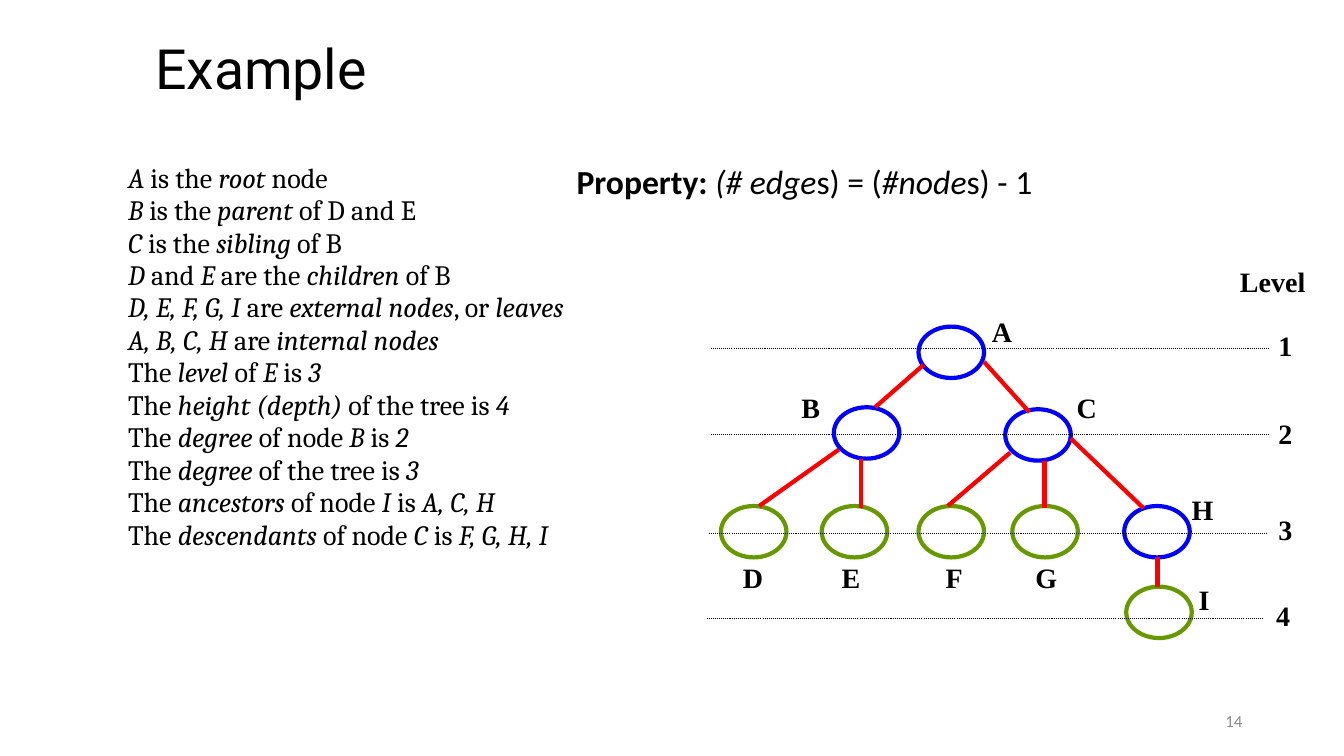
"""Build a slide that explains tree terms beside a drawn tree."""
from pptx import Presentation
from pptx.dml.color import RGBColor
from pptx.enum.dml import MSO_LINE
from pptx.enum.shapes import MSO_CONNECTOR, MSO_SHAPE
from pptx.enum.text import MSO_ANCHOR, PP_ALIGN
from pptx.util import Inches, Pt
from lxml import etree

OVAL = MSO_SHAPE.OVAL
LINE = MSO_CONNECTOR.STRAIGHT
DOTS = MSO_LINE.ROUND_DOT
MIDDLE = MSO_ANCHOR.MIDDLE
RIGHT = PP_ALIGN.RIGHT
BLACK, BLUE, GREEN, RED, GREY = "000000", "0000FF", "669900", "FF0000", "8C8C8C"
SERIF = "Times New Roman"
NS = "http://schemas.openxmlformats.org/drawingml/2006/main"

deck = Presentation()
deck.slide_width = Inches(13.33)
deck.slide_height = Inches(7.5)
slide = deck.slides.add_slide(deck.slide_layouts[6])
shapes = slide.shapes


def add_box(left, top, width, height, wrap=False):
    box = shapes.add_textbox(Inches(left), Inches(top), Inches(width), Inches(height))
    box.text_frame.word_wrap = wrap
    return box.text_frame


def add_run(para, text, size, face, bold=False, italic=False, color=BLACK):
    run = para.add_run()
    run.text = text
    font = run.font
    font.size, font.name = Pt(size), face
    font.bold, font.italic = bold, italic
    font.color.rgb = RGBColor.from_string(color)


title = add_box(1.44, 0.33, 11.56, 0.75, True)
title.vertical_anchor = MIDDLE
title.paragraphs[0].line_spacing = 0.9
add_run(title.paragraphs[0], "Example", 39.6, "Roboto")

# Asterisks switch italics on and off.
facts = [
    "*A *is the *root *node",
    "*B *is the *parent *of D and E",
    "*C *is the *sibling *of B",
    "*D *and *E *are the *children *of B",
    "*D, E, F, G, I* are *external nodes*, or *leaves",
    "*A, B, C, H *are *internal nodes",
    "The *level* of *E *is *3",
    "The *height (depth) *of the tree is *4",
    "The *degree *of node *B *is *2",
    "The *degree *of the tree is *3",
    "The *ancestors *of node *I *is* A, C, H",
    "The *descendants *of node *C *is* F, G, H, I",
]
body = add_box(0.67, 1.15, 11.49, 4.49, True)
body.margin_left = Inches(0.6)
body.margin_top = Inches(0.45)
for row, fact in enumerate(facts):
    para = body.add_paragraph() if row else body.paragraphs[0]
    para.line_spacing = Pt(23.2)
    for part, text in enumerate(fact.split("*")):
        if text:
            add_run(para, text, 20, "Cambria", italic=part % 2 == 1)

nodes = [
    (9.11, 3.24, BLUE), (8.27, 4.04, BLUE), (9.97, 4.06, BLUE),
    (7.15, 5.02, GREEN), (8.15, 5.02, GREEN), (9.11, 5.02, GREEN),
    (10.04, 5.02, GREEN), (11.15, 5.02, BLUE), (11.17, 5.82, GREEN),
]
for left, top, color in nodes:
    node = shapes.add_shape(OVAL, Inches(left), Inches(top), Inches(0.65), Inches(0.51))
    node.shadow.inherit = False
    node.fill.background()
    node.line.color.rgb = RGBColor.from_string(color)
    node.line.width = Pt(3)

edges = [
    (9.16, 3.62, 8.68, 4.04), (9.76, 3.59, 10.21, 4.09),
    (8.32, 4.46, 7.53, 5.02), (8.54, 4.55, 8.54, 5.04),
    (10.02, 4.49, 9.4, 5.02), (10.36, 4.57, 10.36, 5.04),
    (10.62, 4.35, 11.34, 5.04), (11.48, 5.53, 11.48, 5.82),
]
levels = [
    (7.05, 3.46, 12.58, 3.46), (7.05, 4.31, 12.58, 4.31),
    (7.03, 5.29, 12.56, 5.29), (7.01, 6.14, 12.53, 6.14),
]
for ends in edges + levels:
    link = shapes.add_connector(LINE, *[Inches(end) for end in ends])
    etree.SubElement(link._element.spPr, f"{{{NS}}}effectLst")
    edge = ends in edges
    link.line.color.rgb = RGBColor.from_string(RED if edge else BLACK)
    link.line.width = Pt(3 if edge else 0.75)
    if not edge:
        link.line.dash_style = DOTS

labels = [
    ("A", 9.74, 3.07, 0.41), ("B", 7.85, 3.83, 0.39), ("C", 10.58, 3.83, 0.41),
    ("H", 11.72, 4.84, 0.42), ("I", 11.79, 5.73, 0.31), ("D", 7.27, 5.51, 0.41),
    ("E", 8.25, 5.51, 0.39), ("F", 9.28, 5.51, 0.37), ("G", 10.17, 5.51, 0.42),
    ("Level", 12.2, 2.58, 0.86), ("1", 12.58, 3.21, 0.34), ("2", 12.58, 4.08, 0.34),
    ("3", 12.58, 5.04, 0.34), ("4", 12.56, 5.89, 0.34),
]
for text, left, top, width in labels:
    label = add_box(left, top, width, 0.44)
    add_run(label.paragraphs[0], text, 20, SERIF, bold=True)

rule = add_box(5.62, 1.55, 4.77, 0.51).paragraphs[0]
add_run(rule, "Property: ", 24, "Calibri", bold=True)
for part, text in enumerate(["(# edge", "s) = (", "#node", "s) - 1"]):
    add_run(rule, text, 24, "Calibri", italic=part % 2 == 0)

number = add_box(9.42, 6.95, 3, 0.4, True)
number.vertical_anchor = MIDDLE
number.paragraphs[0].alignment = RIGHT
add_run(number.paragraphs[0], "14", 12, "Calibri", color=GREY)

deck.save("out.pptx")
